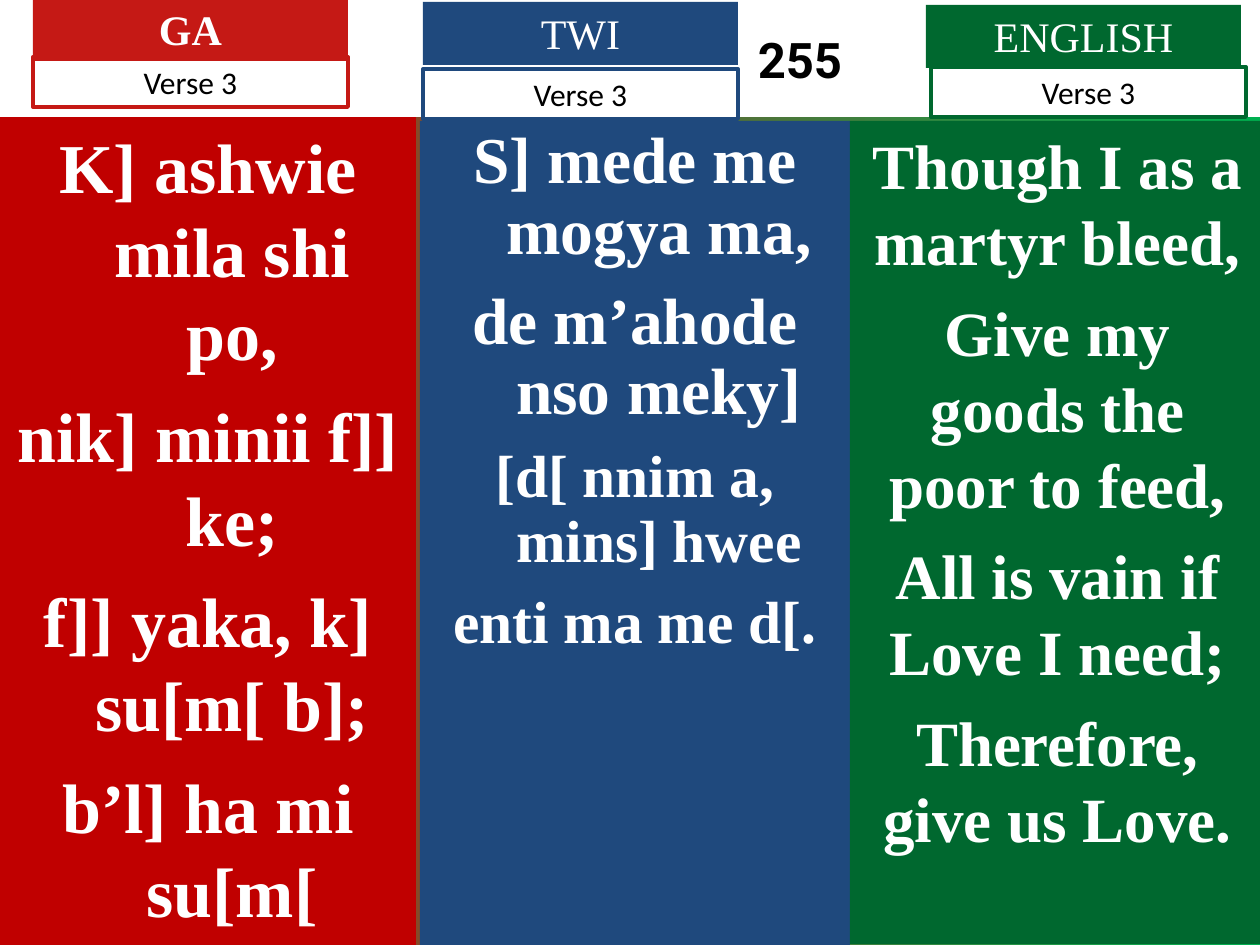
import pptx
import pptx.util
from pptx.dml.color import RGBColor
from pptx.enum.shapes import MSO_SHAPE
from pptx.enum.text import MSO_ANCHOR, MSO_AUTO_SIZE, PP_ALIGN

SERIF = "Times New Roman"
RED, BLUE, GREEN = "C51915", "1F497D", "00682F"


def px(n):
    return pptx.util.Emu(round(n * 914400 / 126))


def rgb(value):
    return RGBColor.from_string(value)


def add_box(s, box, fill=None, line=None, inset=(13, 6, 13, 6)):
    sp = s.shapes.add_shape(MSO_SHAPE.RECTANGLE, *map(px, box))
    sp.shadow.inherit = False
    if fill:
        sp.fill.solid()
        sp.fill.fore_color.rgb = rgb(fill)
    else:
        sp.fill.background()
    if line:
        sp.line.color.rgb = rgb(line)
        sp.line.width = pptx.util.Pt(2.25)
    else:
        sp.line.fill.background()
    tf = sp.text_frame
    tf.word_wrap = True
    tf.auto_size = MSO_AUTO_SIZE.NONE
    tf.vertical_anchor = MSO_ANCHOR.TOP
    tf.margin_left, tf.margin_top, tf.margin_right, tf.margin_bottom = map(px, inset)
    return tf


def add_text(tf, text, size, font=SERIF, color="FFFFFF", bold=False,
             before=0, spacing=None, hang=0):
    first = not tf.paragraphs[0].runs
    p = tf.paragraphs[0] if first else tf.add_paragraph()
    p.alignment = PP_ALIGN.CENTER
    if not first:
        p.space_before = pptx.util.Pt(before)
    if spacing:
        p.line_spacing = spacing
    if hang:
        pPr = p._p.get_or_add_pPr()
        pPr.set("marL", str(px(hang)))
        pPr.set("indent", str(-px(hang)))
    r = p.add_run()
    r.text = text
    r.font.name, r.font.size, r.font.bold = font, pptx.util.Pt(size), bold
    r.font.color.rgb = rgb(color)


# Gradient behind the panels
def paint_background(s):
    fill = s.background.fill
    fill.gradient()
    fill.gradient_angle = 0
    for stop, color in zip(fill.gradient_stops, (RED, "00B050")):
        stop.color.rgb = rgb(color)
    fill.gradient_stops[0].position, fill.gradient_stops[1].position = 0, 1


# White strip with the hymn number
def add_title(s, box, number):
    tf = add_box(s, box, "FFFFFF", inset=(353, 6, 13, 6))
    tf.vertical_anchor = MSO_ANCHOR.MIDDLE
    add_text(tf, number, 28, font="Roboto", color="000000", bold=True)


# Coloured panel with the lines of one verse
def add_verse(s, box, fill, lines, top=6, **fmt):
    tf = add_box(s, box, fill, inset=(13, top, 13, 6))
    for text, size, before in lines:
        add_text(tf, text, size, bold=True, before=before, **fmt)


# Language name with the verse label under it
def add_heading(s, box, color, language, label_dx, label_dy, bold=False):
    x, y, w, h = box
    tf = add_box(s, box, color)
    add_text(tf, language, 24, bold=bold)
    tf = add_box(s, (x + label_dx, y + label_dy, w, 50), line=color)
    add_text(tf, "Verse 3", 18, font="Calibri", color="000000")


def main():
    prs = pptx.Presentation()
    prs.slide_width, prs.slide_height = px(1260), px(945)
    s = prs.slides.add_slide(prs.slide_layouts[6])

    paint_background(s)
    add_title(s, (0, 0, 1260, 117), "255")

    ga = ["K] ashwie mila shi po,", "nik] minii f]] ke;",
          "f]] yaka, k] su[m[ b];", "b’l] ha mi su[m["]
    twi = [("S] mede me mogya ma,", 37.4, 11), ("de m’ahode nso meky]", 37.4, 11),
           ("[d[ nnim a, mins] hwee", 34, 10), ("enti ma me d[.", 34, 10)]
    english = ["Though I as a martyr bleed,", "Give my goods the poor to feed,",
               "All is vain if Love I need;", "Therefore, give us Love."]
    add_verse(s, (0, 117, 416, 828), "C00000", [(t, 40, 10) for t in ga], hang=48)
    add_verse(s, (420, 121, 430, 824), BLUE, twi, hang=48, spacing=0.9)
    add_verse(s, (850, 121, 415, 823), GREEN, [(t, 36, 9) for t in english])

    add_heading(s, (33, -2, 315, 63), RED, "GA", 0, 59, bold=True)
    add_heading(s, (423, 2, 315, 63), BLUE, "TWI", 0, 67)
    add_heading(s, (926, 5, 315, 63), GREEN, "ENGLISH", 5, 62)

    prs.save("out.pptx")


if __name__ == "__main__":
    main()
